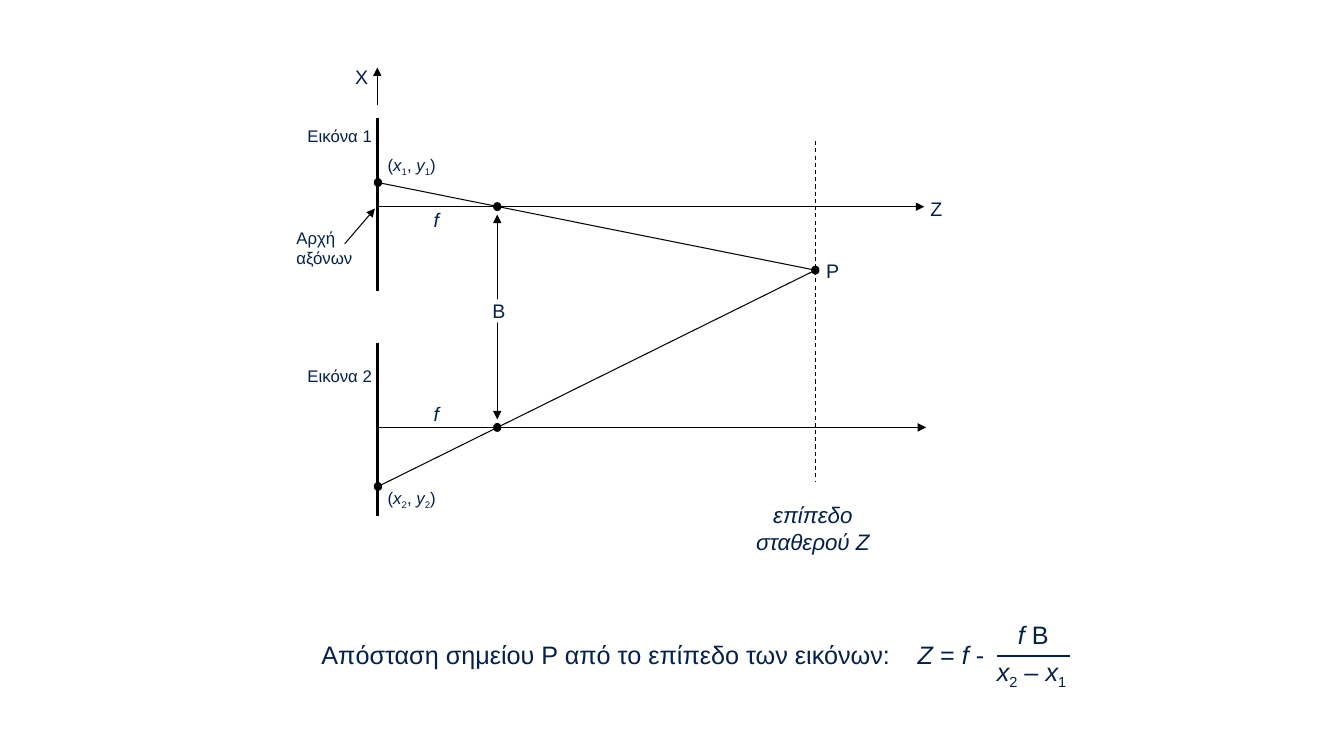
import pptx
import pptx.dml.color
import pptx.enum.dml
import pptx.enum.shapes
import pptx.enum.text
import pptx.oxml
import pptx.oxml.ns
import pptx.util

Pt = pptx.util.Pt
ALIGN = pptx.enum.text.PP_ALIGN
BLACK, NAVY, WHITE = "000000", "052049", "FFFFFF"

# Key places of the diagram, in points
PLANE_X, LENS_X, POINT_X = 269.5, 355.2, 582.4
AXIS_1, AXIS_2 = 147.6, 305.3
POINT_P = (POINT_X, 193)
IMAGE_1, IMAGE_2 = (270, 130.4), (270, 347.5)
DOT_WIDTH, DOT_HEIGHT = 5.2, 5.6

# Lines: start, end, format
THIN = {"width": 0.75, "color": BLACK}
THICK = {"width": 2, "color": BLACK}
ARROW = {**THIN, "ends": ["tailEnd"]}
LINES = [
    ((PLANE_X, 84.2), (PLANE_X, 208.1), THICK),
    ((PLANE_X, 244.8), (PLANE_X, 368.6), THICK),
    ((PLANE_X, AXIS_1), (660.2, AXIS_1), ARROW),
    ((PLANE_X, AXIS_2), (661.5, AXIS_2), ARROW),
    (POINT_P, IMAGE_2, THIN),
    (POINT_P, IMAGE_1, THIN),
    ((LENS_X, 153.4), (LENS_X, 299.5), {**THIN, "ends": ["headEnd", "tailEnd"]}),
    ((PLANE_X, 74.9), (PLANE_X, 48.2), ARROW),
    ((POINT_X, 100.8), (POINT_X, 344.2), {**THIN, "dash": True}),
    ((246.2, 174.2), (267.8, 149), ARROW),
    ((712.1, 468.7), (764.6, 468.7), {"width": 1.25, "color": NAVY}),
]
DOTS = [(LENS_X, AXIS_1), (LENS_X, AXIS_2), IMAGE_1, IMAGE_2, POINT_P]

# Runs are (text, style): "" plain, "i" italic, "s" subscript
def coordinates(index):
    return [("(", ""), ("x", "i"), (index, "s"), (", ", ""),
            ("y", "i"), (index, "s"), (")", "")]


LETTER = {"size": 14, "align": ALIGN.CENTER}
SMALL = {"size": 12, "align": ALIGN.LEFT}
PAIR = {"size": 12, "align": ALIGN.CENTER}
FORMULA = {"size": 18, "align": ALIGN.LEFT, "margins": (7.2, 3.6)}

# Labels: left, top, width, height, runs, format
LABELS = [
    (527, 357.8, 107.3, 32.4, [("επίπεδο σταθερού Z", "i")],
     {"size": 16, "align": ALIGN.CENTER}),
    (351.4, 213.8, 10, 16.6, [("B", "")], {**LETTER, "fill": WHITE}),
    (253.4, 46.1, 10, 16.6, [("X", "")], LETTER),
    (663.8, 140.4, 10, 16.6, [("Z", "")], LETTER),
    (589.7, 185, 10, 16.6, [("P", "")], LETTER),
    (306.7, 287.3, 10, 16.6, [("f", "i")], LETTER),
    (306.7, 148.3, 10, 16.6, [("f", "i")], LETTER),
    (275, 110.2, 38.2, 20.9, coordinates("1"), PAIR),
    (275, 348.5, 38.2, 20.9, coordinates("2"), PAIR),
    (219.6, 90, 54, 18.7, [("Εικόνα 1", "")], SMALL),
    (219.6, 261.4, 56.9, 20.9, [("Εικόνα 2", "")], SMALL),
    (211.7, 162.7, 42.5, 35.3, [("Αρχή αξόνων", "")], SMALL),
    (222.5, 452.9, 617, 28.8,
     [("Απόσταση σημείου P από το επίπεδο των εικόνων:\t", ""),
      ("Z", "i"), (" = ", ""), ("f ", "i"), ("-", "")],
     {**FORMULA, "tab": 426}),
    (720, 438.5, 39.6, 28.8, [("f ", "i"), ("B", "")], FORMULA),
    (704.9, 465.1, 85, 28.8,
     [("x", "i"), ("2", "s"), (" – x", "i"), ("1", "s")], FORMULA),
]


def color(value):
    return pptx.dml.color.RGBColor.from_string(value)


def set_all(target, values):
    for name, value in values.items():
        setattr(target, name, value)


def add_element(parent, tag, **attributes):
    element = pptx.oxml.parse_xml(
        f'<a:{tag} {pptx.oxml.ns.nsdecls("a")}/>')
    for name, value in attributes.items():
        element.set(name, value)
    parent.append(element)
    return element


def add_line(slide, start, end, style):
    line = slide.shapes.add_connector(
        pptx.enum.shapes.MSO_CONNECTOR.STRAIGHT,
        *[Pt(value) for value in start + end])
    line.line.width = Pt(style["width"])
    line.line.color.rgb = color(style["color"])
    if style.get("dash"):
        line.line.dash_style = pptx.enum.dml.MSO_LINE.DASH
    for tag in style.get("ends", []):
        add_element(line.line._get_or_add_ln(), tag, type="triangle")
    add_element(line._element.spPr, "effectLst")


def add_dot(slide, center_x, center_y):
    dot = slide.shapes.add_shape(
        pptx.enum.shapes.MSO_SHAPE.OVAL,
        Pt(center_x - DOT_WIDTH / 2), Pt(center_y - DOT_HEIGHT / 2),
        Pt(DOT_WIDTH), Pt(DOT_HEIGHT))
    dot.shadow.inherit = False
    dot.fill.solid()
    dot.fill.fore_color.rgb = color(BLACK)
    dot.line.width = Pt(0.75)
    dot.line.color.rgb = color(BLACK)


def add_label(slide, left, top, width, height, runs, style):
    box = slide.shapes.add_textbox(Pt(left), Pt(top), Pt(width), Pt(height))
    if "fill" in style:
        box.fill.solid()
        box.fill.fore_color.rgb = color(style["fill"])
    side, edge = style.get("margins", (0, 0))
    set_all(box.text_frame, {
        "word_wrap": True, "margin_left": Pt(side), "margin_right": Pt(side),
        "margin_top": Pt(edge), "margin_bottom": Pt(edge)})
    paragraph = box.text_frame.paragraphs[0]
    paragraph.alignment = style["align"]
    if "tab" in style:
        stops = add_element(paragraph._p.get_or_add_pPr(), "tabLst")
        add_element(stops, "tab", pos=str(Pt(style["tab"])), algn="l")
    for text, kind in runs:
        run = paragraph.add_run()
        run.text = text
        set_all(run.font, {"name": "Arial", "size": Pt(style["size"]),
                           "italic": kind == "i"})
        run.font.color.rgb = color(NAVY)
        if kind == "s":
            run._r.get_or_add_rPr().set("baseline", "-25000")


def main():
    presentation = pptx.Presentation()
    set_all(presentation, {"slide_width": Pt(960), "slide_height": Pt(540)})
    slide = presentation.slides.add_slide(presentation.slide_layouts[6])
    for start, end, style in LINES:
        add_line(slide, start, end, style)
    for center in DOTS:
        add_dot(slide, *center)
    for label in LABELS:
        add_label(slide, *label)
    presentation.save("out.pptx")


if __name__ == "__main__":
    main()
